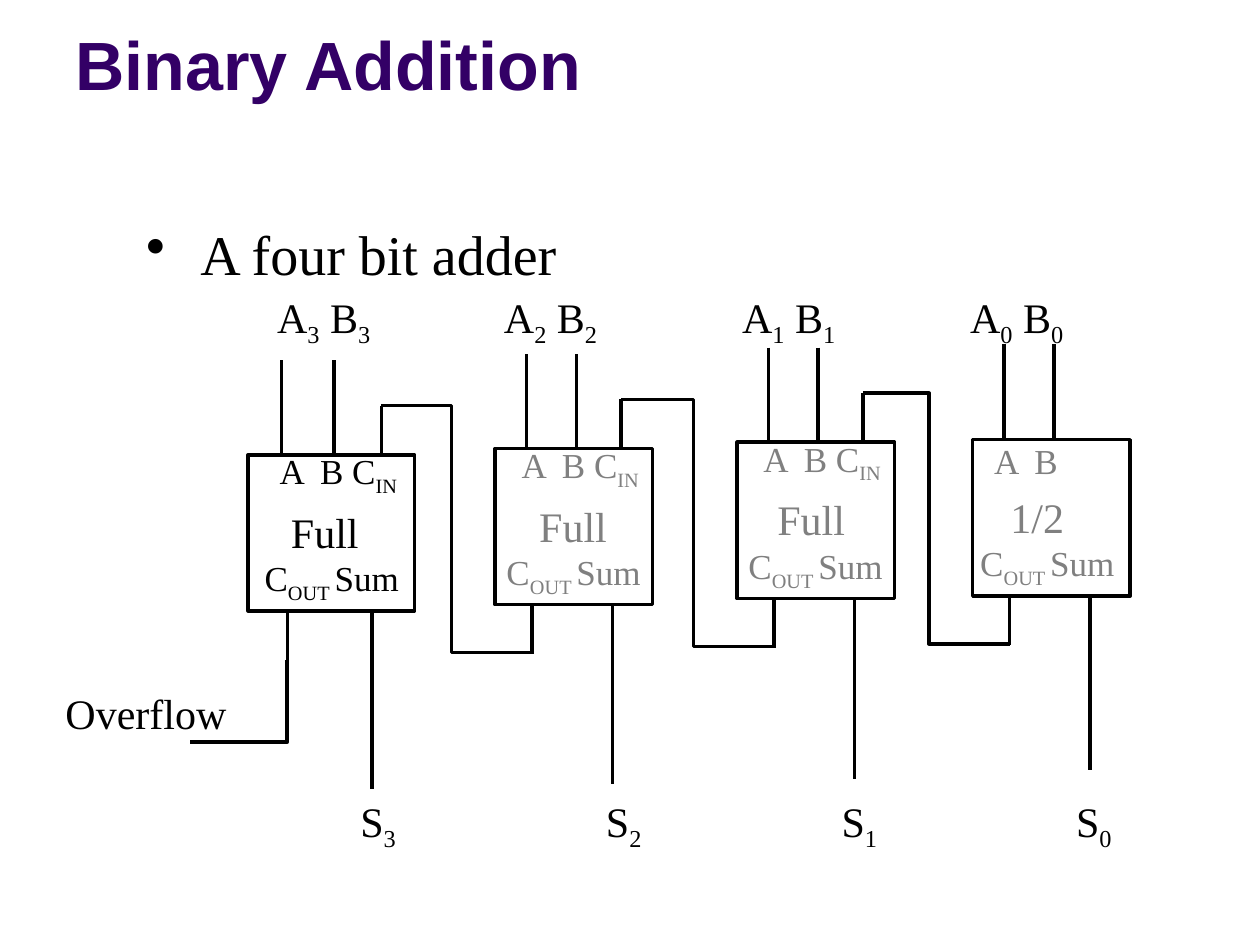
"""Build a slide showing a four bit ripple-carry adder."""
from dataclasses import dataclass

from lxml import etree
from pptx import Presentation
from pptx.dml.color import RGBColor
from pptx.enum.shapes import MSO_CONNECTOR, MSO_SHAPE
from pptx.oxml.ns import qn
from pptx.util import Inches, Pt

STRAIGHT = MSO_CONNECTOR.STRAIGHT
RECTANGLE = MSO_SHAPE.RECTANGLE


@dataclass(frozen=True)
class Theme:
    title_color: RGBColor = RGBColor(0x33, 0x00, 0x66)
    ink: RGBColor = RGBColor(0x00, 0x00, 0x00)
    muted: RGBColor = RGBColor(0x80, 0x80, 0x80)
    title_font: str = "Arial"
    body_font: str = "Times New Roman"
    title_size: float = 39
    bullet_size: float = 32
    label_size: float = 24
    pin_size: float = 20
    wire: float = 2


@dataclass(frozen=True)
class Stage:
    bit: str
    kind: str
    left: float
    top: float
    width: float
    color: RGBColor
    input_top: float
    sum_bottom: float
    operand_left: float
    result_left: float
    pin_left: float
    pin_offset: float
    output_left: float
    kind_left: float
    has_carry_in: bool = True

    def pin(self, share: float) -> float:
        return self.left + share * self.width

    @property
    def bottom(self) -> float:
        return self.top + BLOCK_HEIGHT

    @property
    def carry_in_top(self) -> float:
        return self.top - 0.39


THEME = Theme()
BLOCK_HEIGHT = 1.24
A_PIN, B_PIN, CARRY_IN_PIN = 0.2, 0.515, 0.8
CARRY_OUT_PIN, SUM_PIN = 0.235, 0.745
STUB = 0.39
RISER_GAP = 0.64
B_LABEL_GAP = 0.32

STAGES = [
    Stage("3", "Full", 1.97, 3.61, 1.32, THEME.ink, 2.86, 6.26,
          2.2, 2.86, 2.22, -0.04, 2.1, 2.31),
    Stage("2", "Full", 3.93, 3.56, 1.25, THEME.muted, 2.81, 6.22,
          4.0, 4.81, 4.14, -0.04, 4.02, 4.28),
    Stage("1", "Full", 5.85, 3.51, 1.25, THEME.muted, 2.76, 6.18,
          5.89, 6.68, 6.06, -0.04, 5.94, 6.17),
    Stage("0", "1/2", 7.72, 3.49, 1.25, THEME.muted, 2.73, 6.11,
          7.7, 8.54, 7.89, 0, 7.78, 8.02, has_carry_in=False),
]


def add_text(slide, *parts: str, left: float, top: float, width: float = 1.3,
             height: float = 0.4, size: float = THEME.label_size,
             font: str = THEME.body_font, color: RGBColor = THEME.ink,
             bold: bool = False, hanging: float = 0) -> None:
    box = slide.shapes.add_textbox(Inches(left), Inches(top), Inches(width), Inches(height))
    frame = box.text_frame
    frame.word_wrap = True
    frame.margin_left = frame.margin_right = frame.margin_top = frame.margin_bottom = 0
    paragraph = frame.paragraphs[0]
    if hanging:
        properties = paragraph._p.get_or_add_pPr()
        properties.set("marL", str(Inches(hanging)))
        properties.set("indent", str(-Inches(hanging)))
        etree.SubElement(properties, qn("a:buChar")).set("char", "•")
    for index, part in enumerate(parts):
        run = paragraph.add_run()
        run.text = part
        run.font.name = font
        run.font.size = Pt(size)
        run.font.bold = bold
        run.font.color.rgb = color
        if index % 2:
            run._r.get_or_add_rPr().set("baseline", "-25000")


def style_line(shape) -> None:
    shape.line.color.rgb = THEME.ink
    shape.line.width = Pt(THEME.wire)


def add_wire(slide, x: float, top: float, bottom: float) -> None:
    wire = slide.shapes.add_connector(
        STRAIGHT, Inches(x), Inches(top), Inches(x), Inches(bottom))
    style_line(wire)
    etree.SubElement(wire._element.spPr, qn("a:effectLst"))


def add_bent_wire(slide, *points: tuple[float, float]) -> None:
    start, *rest = [(Inches(x), Inches(y)) for x, y in points]
    builder = slide.shapes.build_freeform(*start)
    builder.add_line_segments(rest, close=False)
    wire = builder.convert_to_shape()
    wire.shadow.inherit = False
    wire.fill.background()
    style_line(wire)


def add_stage(slide, stage: Stage) -> None:
    block = slide.shapes.add_shape(RECTANGLE, Inches(stage.left), Inches(stage.top),
                                   Inches(stage.width), Inches(BLOCK_HEIGHT))
    block.shadow.inherit = False
    block.fill.background()
    style_line(block)

    for share in (A_PIN, B_PIN):
        add_wire(slide, stage.pin(share), stage.input_top, stage.top)
    if stage.has_carry_in:
        add_wire(slide, stage.pin(CARRY_IN_PIN), stage.carry_in_top, stage.top)
    add_wire(slide, stage.pin(CARRY_OUT_PIN), stage.bottom, stage.bottom + STUB)
    add_wire(slide, stage.pin(SUM_PIN), stage.bottom, stage.sum_bottom)

    pins = {"top": stage.top + stage.pin_offset, "size": THEME.pin_size, "color": stage.color}
    b_parts = ("B C", "IN") if stage.has_carry_in else ("B",)
    add_text(slide, "A", left=stage.pin_left, width=0.3, **pins)
    add_text(slide, *b_parts, left=stage.pin_left + B_LABEL_GAP, width=0.8, **pins)
    add_text(slide, stage.kind, left=stage.kind_left, top=stage.top + 0.41,
             width=0.8, color=stage.color)
    add_text(slide, "C", "OUT ", "Sum", left=stage.output_left, top=stage.top + 0.81,
             size=THEME.pin_size, color=stage.color)
    add_text(slide, "A", stage.bit, " B", stage.bit, left=stage.operand_left, top=2.31)
    add_text(slide, "S", stage.bit, left=stage.result_left, top=6.31, width=0.5)


def add_carry(slide, source: Stage, target: Stage) -> None:
    carry_out = source.pin(CARRY_OUT_PIN)
    riser = carry_out - RISER_GAP
    low = source.bottom + STUB - 0.01
    add_bent_wire(slide, (carry_out, low), (riser, low), (riser, target.carry_in_top),
                  (target.pin(CARRY_IN_PIN), target.carry_in_top))


def main() -> None:
    presentation = Presentation()
    presentation.slide_width = Inches(10)
    presentation.slide_height = Inches(7.5)
    slide = presentation.slides.add_slide(presentation.slide_layouts[6])

    add_text(slide, "Binary Addition", left=0.6, top=0.18, width=7.14, height=0.7,
             size=THEME.title_size, font=THEME.title_font,
             color=THEME.title_color, bold=True)
    add_text(slide, "A four bit adder", left=1.16, top=1.74, width=7.2, height=0.54,
             size=THEME.bullet_size, hanging=0.43)
    for stage in STAGES:
        add_stage(slide, stage)
    for target, source in zip(STAGES, STAGES[1:]):
        add_carry(slide, source, target)

    last = STAGES[0]
    overflow_x = last.pin(CARRY_OUT_PIN)
    add_bent_wire(slide, (overflow_x, last.bottom + STUB), (overflow_x, 5.89), (1.51, 5.89))
    add_text(slide, "Overflow", left=0.52, top=5.46, width=1.47)
    presentation.save("out.pptx")


if __name__ == "__main__":
    main()
